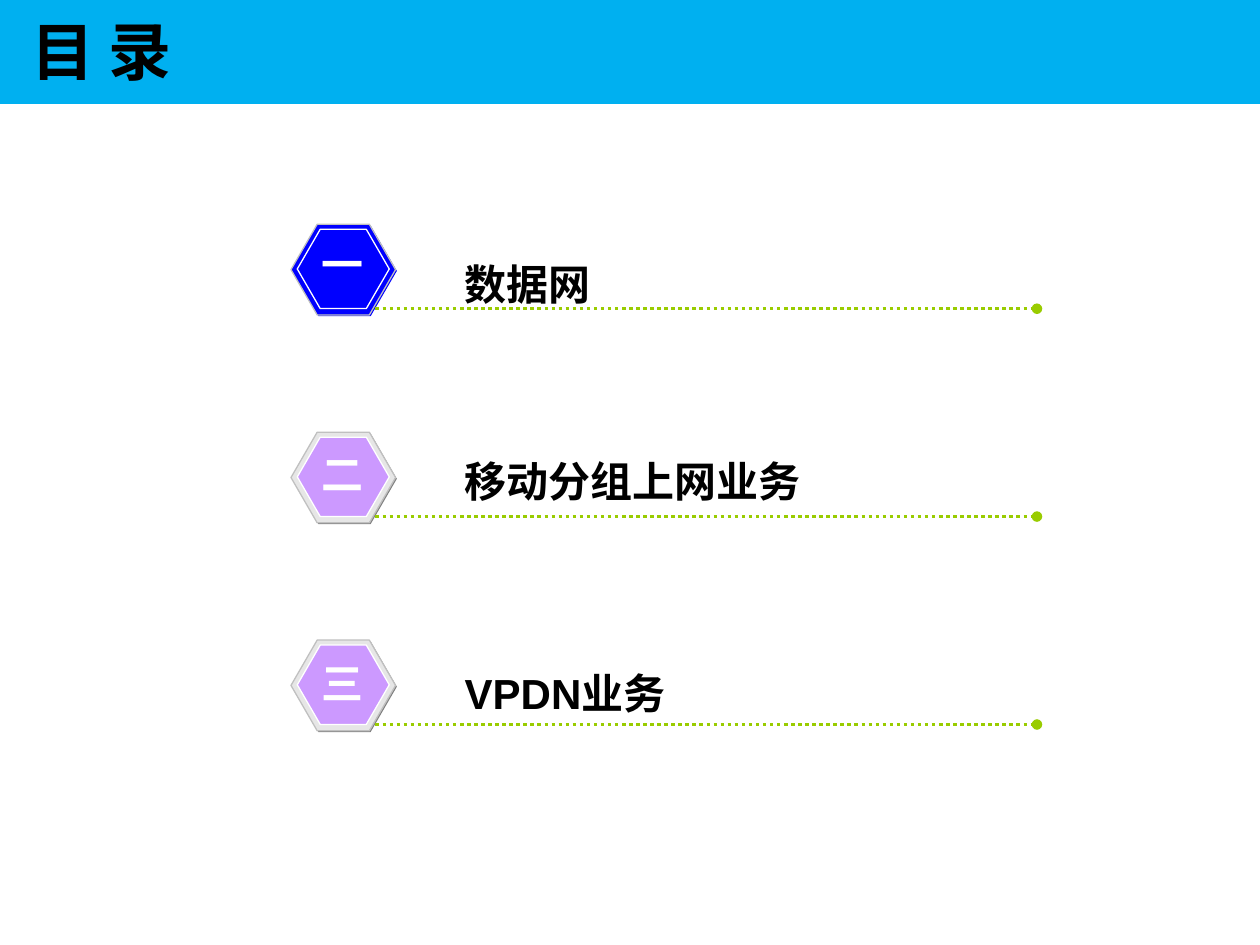
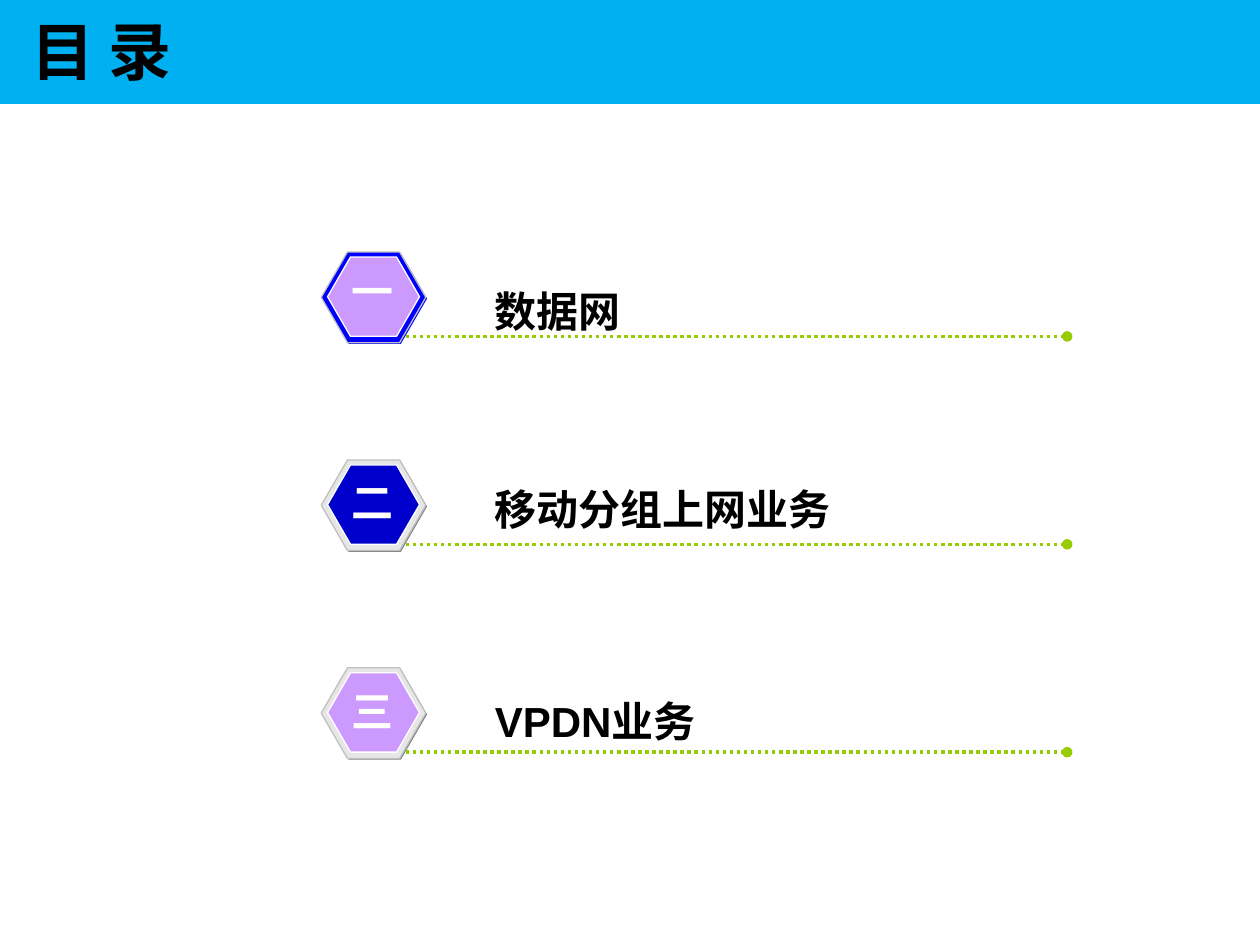
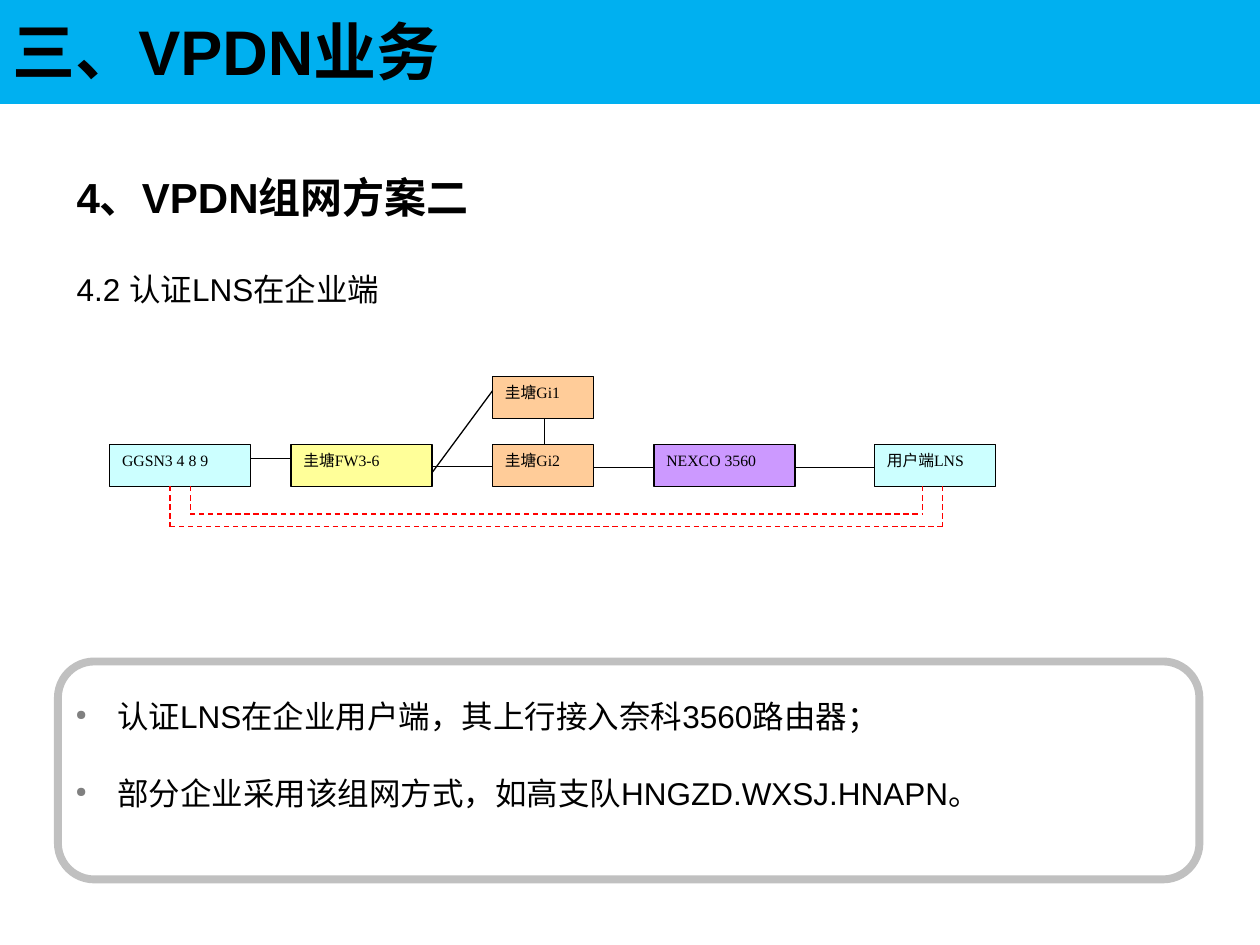
from dataclasses import dataclass

from lxml import etree
from pptx import Presentation
from pptx.dml.color import RGBColor
from pptx.enum.dml import MSO_LINE
from pptx.enum.shapes import MSO_CONNECTOR, MSO_SHAPE
from pptx.enum.text import MSO_ANCHOR, PP_ALIGN
from pptx.oxml.ns import qn
from pptx.util import Inches, Pt


@dataclass(frozen=True)
class Theme:
    band: str = "00B0F0"
    black: str = "000000"
    white: str = "FFFFFF"
    silver: str = "C0C0C0"
    bevel: str = "E6E6E6"
    grey: str = "808080"
    blue: str = "0000FF"
    navy: str = "0000CC"
    lilac: str = "CC99FF"
    lime: str = "99CC00"
    red: str = "FF0000"
    cyan: str = "CCFFFF"
    yellow: str = "FFFF99"
    peach: str = "FFCC99"
    sans: str = "Arial"
    cjk: str = "Noto Sans CJK SC"
    serif: str = "Times New Roman"
    title: int = 36
    heading: int = 24
    body: int = 18
    node: int = 9


T = Theme()


# Shared helpers

def style_text(p, size, font=T.sans, color=T.black, bold=False):
    for r in p.runs:
        r.font.size, r.font.bold, r.font.name = Pt(size), bold, font
        r.font.color.rgb = RGBColor.from_string(color)
        ea = etree.SubElement(r._r.get_or_add_rPr(), qn("a:ea"))
        ea.set("typeface", T.cjk)


def add_text(slide, box, text, size, left=0.1, right=0.1,
             align=PP_ALIGN.LEFT, **style):
    sp = slide.shapes.add_textbox(*map(Inches, box))
    tf = sp.text_frame
    tf.text = text
    tf.word_wrap = True
    tf.margin_left, tf.margin_right = Inches(left), Inches(right)
    tf.paragraphs[0].alignment = align
    style_text(tf.paragraphs[0], size, **style)
    return sp


def add_box(slide, kind, box, fill, line=None, width=0.75):
    sp = slide.shapes.add_shape(kind, *map(Inches, box))
    sp.shadow.inherit = False
    sp.fill.solid()
    sp.fill.fore_color.rgb = RGBColor.from_string(fill)
    if line:
        sp.line.color.rgb = RGBColor.from_string(line)
        sp.line.width = Pt(width)
    else:
        sp.line.fill.background()
    return sp


def add_line(slide, x1, y1, x2, y2, color=T.black, width=0.75, dash=None,
             tail=None):
    cn = slide.shapes.add_connector(
        MSO_CONNECTOR.STRAIGHT, *map(Inches, (x1, y1, x2, y2)))
    cn.line.color.rgb = RGBColor.from_string(color)
    cn.line.width = Pt(width)
    if dash:
        cn.line.dash_style = dash
    if tail:
        etree.SubElement(cn.line._get_or_add_ln(), qn("a:tailEnd")).set("type", tail)
    etree.SubElement(cn._element.spPr, qn("a:effectLst"))


def add_title_band(slide, box, text, **style):
    add_box(slide, MSO_SHAPE.RECTANGLE, (-0.01, 0, 10.01, 0.81), T.band, T.band, 2)
    add_text(slide, box, text, T.title, right=0, bold=True, **style)


# Contents slides

# numeral, its drop, label, its drop, label width, label font
CONTENTS = [
    ("一", 0.06, "数据网", 0.22, 1.2, T.cjk),
    ("二", 0.08, "移动分组上网业务", 0.14, 2.86, T.sans),
    ("三", 0.09, "VPDN业务", 0.17, 3.86, T.sans),
]
ROW_STEP = 1.65
PLAIN = (T.grey, T.bevel, T.lilac)


def add_contents_row(slide, x, y, row, fills):
    numeral, numeral_dy, label, label_dy, label_w, font = row
    # Hexagon badge: shade, rim and face
    layers = [(0.01, 0.01, 0.83, 0.72, None), (0, 0, 0.83, 0.72, T.silver),
              (0.05, 0.04, 0.73, 0.63, T.white)]
    for (dx, dy, w, h, line), fill in zip(layers, fills):
        sp = add_box(slide, MSO_SHAPE.HEXAGON, (x + dx, y + dy, w, h), fill, line)
        sp.adjustments[0] = 0.289
    # Dotted rule
    add_line(slide, x + 0.67, y + 0.67, x + 5.92, y + 0.67, T.lime, 2,
             MSO_LINE.ROUND_DOT, "oval")
    # Numeral and label
    add_text(slide, (x + 0.14, y + numeral_dy, 0.53, 0.5), numeral, T.heading,
             left=0, right=0, align=PP_ALIGN.CENTER, font=T.cjk, color=T.white,
             bold=True)
    add_text(slide, (x + 1.28, y + label_dy, label_w, 0.5), label, T.heading,
             right=0, font=font, bold=True)


def build_contents(slide, x, y, badge_fills):
    add_title_band(slide, (0.15, 0.05, 1.31, 0.7), "目 录", font=T.cjk)
    for i, (row, fills) in enumerate(zip(CONTENTS, badge_fills)):
        add_contents_row(slide, x, y + i * ROW_STEP, row, fills)


# VPDN slide

# label, left, top, width, fill (relative to the diagram)
NODES = [
    ("GGSN3 4 8 9", 0, 0.54, 1.12, T.cyan),
    ("圭塘FW3-6", 1.44, 0.54, 1.12, T.yellow),
    ("圭塘Gi2", 3.04, 0.54, 0.8, T.peach),
    ("NEXCO 3560", 4.32, 0.54, 1.12, T.lilac),
    ("用户端LNS", 6.07, 0.54, 0.96, T.cyan),
    ("圭塘Gi1", 3.04, 0, 0.8, T.peach),
]
NODE_H = 0.33
LINKS = [
    (1.12, 0.65, 1.44, 0.65), (2.56, 0.71, 3.04, 0.71),
    (2.56, 0.76, 3.04, 0.11), (3.84, 0.72, 4.32, 0.72),
    (3.45, 0.33, 3.45, 0.54), (5.44, 0.72, 6.07, 0.72),
]
# left, right and bottom of each tunnel
TUNNELS = [(0.48, 6.61, 1.19), (0.64, 6.45, 1.09)]


def add_network(slide, x, y):
    for label, dx, dy, w, fill in NODES:
        sp = add_box(slide, MSO_SHAPE.RECTANGLE, (x + dx, y + dy, w, NODE_H),
                     fill, T.black)
        tf = sp.text_frame
        tf.text = label
        tf.word_wrap = True
        tf.vertical_anchor = MSO_ANCHOR.TOP
        tf.paragraphs[0].alignment = PP_ALIGN.JUSTIFY
        style_text(tf.paragraphs[0], T.node, T.serif)
    for x1, y1, x2, y2 in LINKS:
        add_line(slide, x + x1, y + y1, x + x2, y + y2)
    # Dashed tunnels from the GGSN to the LNS
    for left, right, bottom in TUNNELS:
        for x1, y1, x2 in ((left, 0.87, left), (right, 0.87, right),
                           (left, bottom, right)):
            add_line(slide, x + x1, y + y1, x + x2, y + bottom, T.red,
                     dash=MSO_LINE.DASH)


def add_bullet(p):
    pPr = p._p.get_or_add_pPr()
    pPr.set("marL", str(Inches(0.33)))
    pPr.set("indent", str(-Inches(0.33)))
    clr = etree.SubElement(pPr, qn("a:buClr"))
    etree.SubElement(clr, qn("a:srgbClr")).set("val", T.grey)
    etree.SubElement(pPr, qn("a:buSzPct")).set("val", "45000")
    etree.SubElement(pPr, qn("a:buChar")).set("char", "●")


def add_notes_panel(slide, x, y, lines):
    add_box(slide, MSO_SHAPE.ROUNDED_RECTANGLE, (x, y, 9.06, 1.73),
            T.white, T.silver, 4.5)
    sp = slide.shapes.add_textbox(
        *map(Inches, (x + 0.05, y + 0.24, 8.98, 1.49)))
    tf = sp.text_frame
    tf.word_wrap = True
    tf.margin_left = tf.margin_right = Inches(0.09)
    tf.margin_top = tf.margin_bottom = Inches(0.04)
    tf.text = "\n".join(lines)
    for i, p in enumerate(tf.paragraphs):
        add_bullet(p)
        style_text(p, T.body)
        if i:
            p.space_before = Pt(22.5)


def build_vpdn(slide):
    add_title_band(slide, (0, 0.05, 8.23, 0.7), "三、VPDN业务")
    add_text(slide, (0.51, 1.31, 8.5, 0.71), "4、VPDN组网方案二", T.heading, bold=True)
    add_text(slide, (0.51, 2.09, 2.76, 0.7), "4.2 认证LNS在企业端", T.body)
    add_notes_panel(slide, 0.46, 5.25, [
        "认证LNS在企业用户端，其上行接入奈科3560路由器；",
        "部分企业采用该组网方式，如高支队HNGZD.WXSJ.HNAPN。",
    ])
    add_network(slide, 0.87, 2.99)


def main():
    prs = Presentation()
    prs.slide_width, prs.slide_height = Inches(10), Inches(7.5)
    first, second, third = (
        prs.slides.add_slide(prs.slide_layouts[6]) for _ in range(3))
    build_contents(first, 2.31, 1.78, [(T.blue,) * 3, PLAIN, PLAIN])
    build_contents(second, 2.55, 2.0, [
        (T.blue, T.blue, T.lilac), (T.grey, T.bevel, T.navy), PLAIN])
    build_vpdn(third)
    prs.save("out.pptx")


if __name__ == "__main__":
    main()
